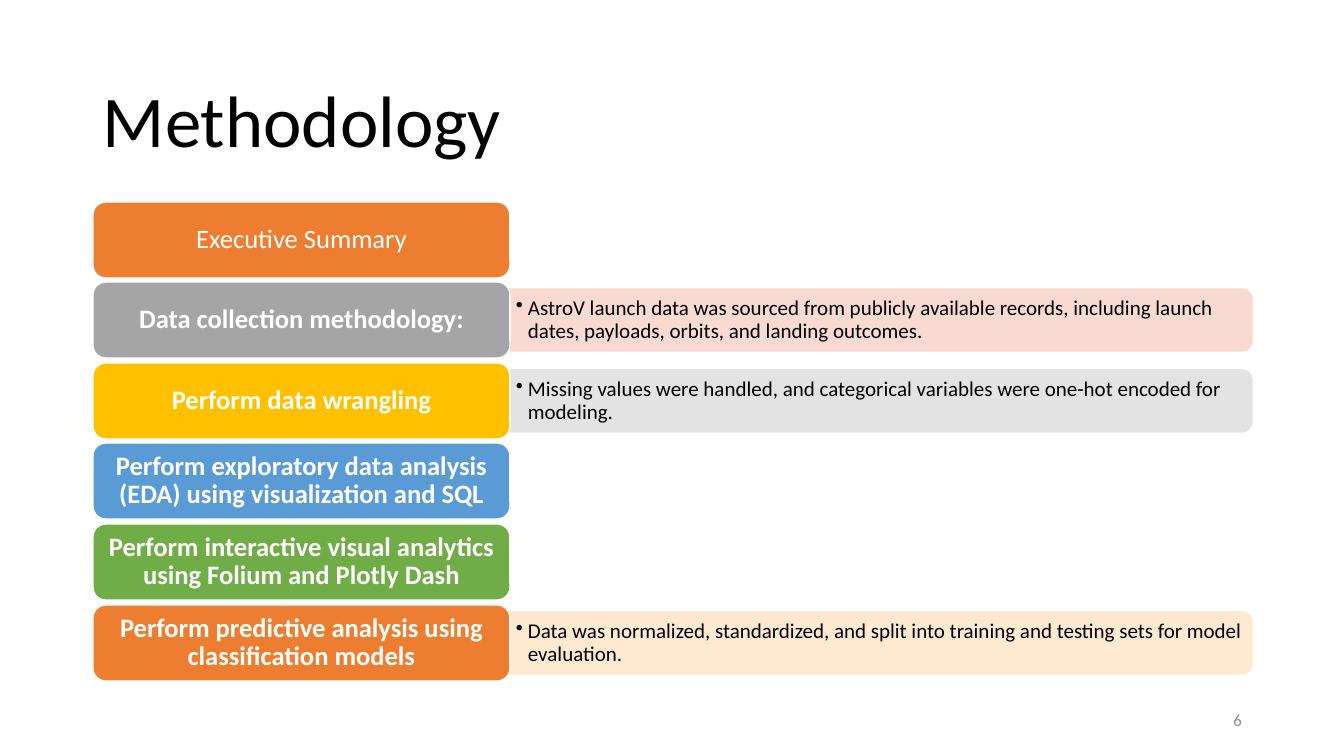
"""Build the Methodology slide: a column of steps with detail panels."""
from lxml import etree
from pptx import Presentation
from pptx.dml.color import RGBColor
from pptx.enum.shapes import MSO_SHAPE
from pptx.enum.text import MSO_ANCHOR, MSO_AUTO_SIZE, PP_ALIGN
from pptx.oxml.ns import qn
from pptx.util import Pt

LEFT, CENTER, RIGHT = PP_ALIGN.LEFT, PP_ALIGN.CENTER, PP_ALIGN.RIGHT
MIDDLE, NO_AUTOFIT = MSO_ANCHOR.MIDDLE, MSO_AUTO_SIZE.NONE
ROUNDED, ROUNDED_END = MSO_SHAPE.ROUNDED_RECTANGLE, MSO_SHAPE.ROUND_2_SAME_RECTANGLE

EMU_PER_PX = 914400 / 100.8
THEME = {
    "font": "Calibri",
    "white": "FFFFFF",
    "title": {"size": 52, "color": "000000", "align": LEFT, "insets": (10, 5)},
    "step": {"size": 19, "color": "FFFFFF", "align": CENTER, "insets": (11, 7)},
    "detail": {"size": 15, "color": "000000", "align": LEFT, "insets": (6, 3)},
    "number": {"size": 12, "color": "8C8C8C", "align": RIGHT, "insets": (10, 5)},
}
STEPS = [
    ("Executive Summary", "ED7D31", False, None, None),
    ("Data collection methodology:", "A5A5A5", True, "F8D7CE",
     "AstroV launch data was sourced from publicly available records, "
     "including launch dates, payloads, orbits, and landing outcomes."),
    ("Perform data wrangling", "FFC000", True, "E1E1E1",
     "Missing values were handled, and categorical variables were "
     "one-hot encoded for modeling."),
    ("Perform exploratory data analysis (EDA) using visualization and SQL",
     "5B9BD5", True, None, None),
    ("Perform interactive visual analytics using Folium and Plotly Dash",
     "70AD47", True, None, None),
    ("Perform predictive analysis using classification models", "ED7D31", True, "FFE8CC",
     "Data was normalized, standardized, and split into training and "
     "testing sets for model evaluation."),
]
COLUMN_LEFT, COLUMN_TOP, STEP_WIDTH, STEP_HEIGHT = 93, 202, 417, 76
LAST_STEP_OFFSET = 403
PANEL_LENGTH, PANEL_HEIGHT = 742, 62
DETAIL_WIDTH, DETAIL_HEIGHT, BULLET_INDENT = 739, 55, 12


def px(*lengths):
    return [round(length * EMU_PER_PX) for length in lengths]


def write_text(shape, text, style, bold=False, bullet=False):
    frame = shape.text_frame
    horizontal, vertical = px(*style["insets"])
    frame_format = {
        "text": text, "word_wrap": True, "auto_size": NO_AUTOFIT,
        "vertical_anchor": MIDDLE, "margin_left": horizontal,
        "margin_right": horizontal, "margin_top": vertical, "margin_bottom": vertical,
    }
    paragraph = frame.paragraphs[0]
    for name, value in frame_format.items():
        setattr(frame, name, value)
    paragraph = frame.paragraphs[0]
    paragraph.alignment = style["align"]
    paragraph.line_spacing = 0.9
    if bullet:
        properties = paragraph._p.get_or_add_pPr()
        indent = px(BULLET_INDENT)[0]
        properties.set("marL", str(indent))
        properties.set("indent", str(-indent))
        etree.SubElement(properties, qn("a:buChar"), char="•")
    font = paragraph.runs[0].font
    for name, value in {"name": THEME["font"], "size": Pt(style["size"]), "bold": bold}.items():
        setattr(font, name, value)
    font.color.rgb = RGBColor.from_string(style["color"])


presentation = Presentation()
presentation.slide_width, presentation.slide_height = px(1344, 756)
slide = presentation.slides.add_slide(presentation.slide_layouts[5])
shapes = slide.shapes

title = shapes.title
title.left, title.top, title.width, title.height = px(93, 61, 1159, 125)
write_text(title, "Methodology", THEME["title"])

for index, (label, color, bold, panel_color, detail) in enumerate(STEPS):
    top = COLUMN_TOP + LAST_STEP_OFFSET * index // (len(STEPS) - 1)
    middle = top + STEP_HEIGHT // 2
    column_right = COLUMN_LEFT + STEP_WIDTH
    boxes = []
    if detail:
        panel = shapes.add_shape(ROUNDED_END, *px(
            column_right + (PANEL_LENGTH - PANEL_HEIGHT) // 2, middle - PANEL_LENGTH // 2,
            PANEL_HEIGHT, PANEL_LENGTH))
        panel.rotation = 90
        boxes.append((panel, panel_color, panel_color))
        detail_box = shapes.add_textbox(*px(
            column_right, middle - DETAIL_HEIGHT // 2, DETAIL_WIDTH, DETAIL_HEIGHT))
        write_text(detail_box, detail, THEME["detail"], bullet=True)
    step = shapes.add_shape(ROUNDED, *px(COLUMN_LEFT, top, STEP_WIDTH, STEP_HEIGHT))
    write_text(step, label, THEME["step"], bold)
    boxes.append((step, color, THEME["white"]))
    for box, fill_color, line_color in boxes:
        box.shadow.inherit = False
        box.fill.solid()
        box.fill.fore_color.rgb = RGBColor.from_string(fill_color)
        box.line.color.rgb = RGBColor.from_string(line_color)
        box.line.width = Pt(1)
    if detail:
        for color_element in panel._element.spPr.iter(qn("a:srgbClr")):
            etree.SubElement(color_element, qn("a:alpha"), val="90000")

number_box = shapes.add_textbox(*px(950, 701, 302, 40))
write_text(number_box, "6", THEME["number"])

presentation.save("out.pptx")
